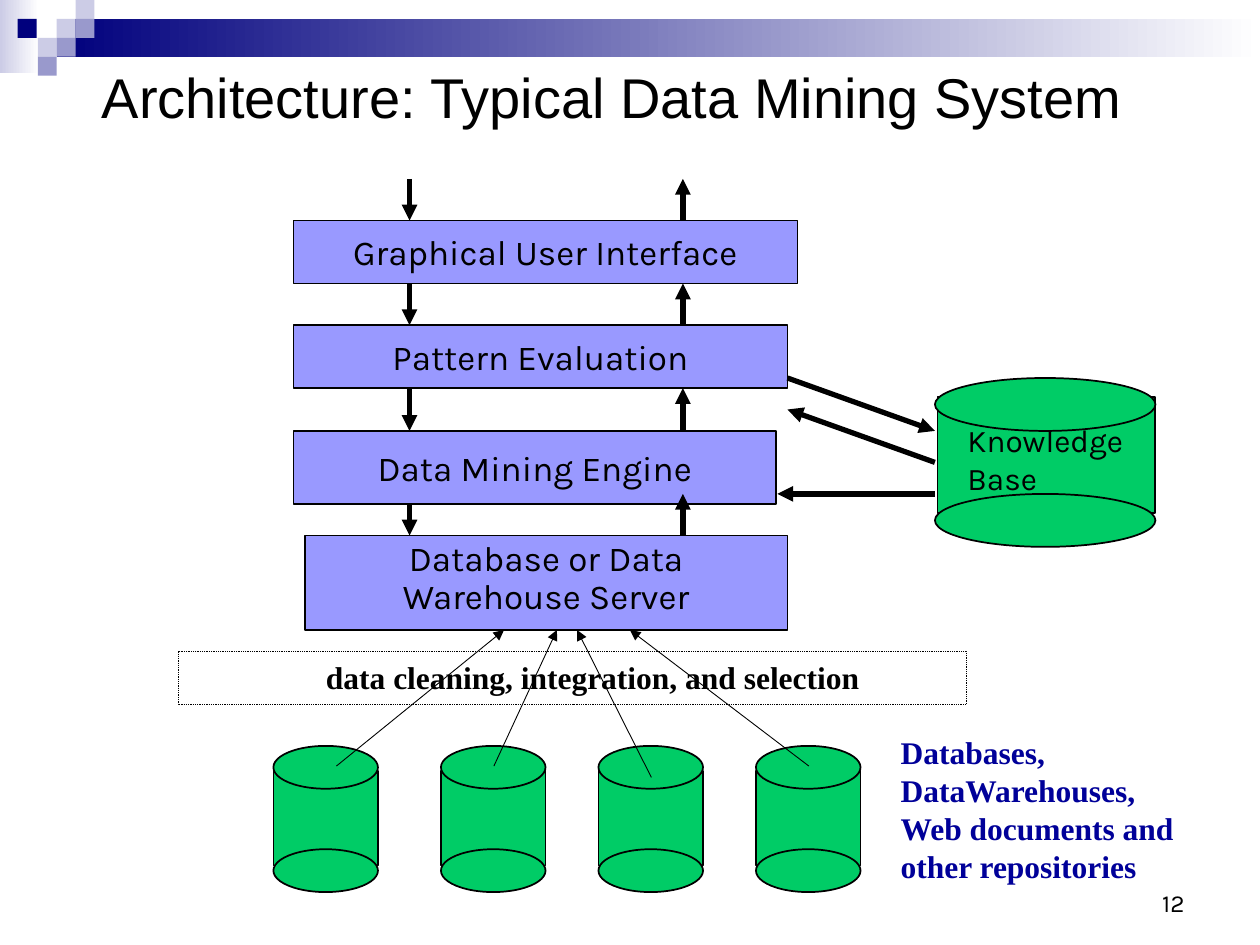
"""Build the slide showing the architecture of a typical data mining system."""
import pptx
import pptx.util
import pptx.dml.color
import pptx.enum.dml
import pptx.enum.shapes
import pptx.enum.text
import pptx.oxml

Inches, Pt = pptx.util.Inches, pptx.util.Pt
color = pptx.dml.color.RGBColor.from_string
RECT = pptx.enum.shapes.MSO_SHAPE.RECTANGLE
OVAL = pptx.enum.shapes.MSO_SHAPE.OVAL
LEFT, CENTER, RIGHT = (pptx.enum.text.PP_ALIGN.LEFT, pptx.enum.text.PP_ALIGN.CENTER,
                       pptx.enum.text.PP_ALIGN.RIGHT)
TOP, MIDDLE, BOTTOM = (pptx.enum.text.MSO_ANCHOR.TOP, pptx.enum.text.MSO_ANCHOR.MIDDLE,
                       pptx.enum.text.MSO_ANCHOR.BOTTOM)
NS = 'xmlns:a="http://schemas.openxmlformats.org/drawingml/2006/main"'
BLACK, GREEN, VIOLET = "000000", "00CC66", "9999FF"

prs = pptx.Presentation()
prs.slide_width, prs.slide_height = Inches(10), Inches(7.5)
s = prs.slides.add_slide(prs.slide_layouts[6])


def add_box(x, y, w, h, fill=None, line=0, kind=RECT, lines=(), size=20, font="Karla",
            ink=BLACK, bold=False, align=LEFT, anchor=TOP, spacing=1.0):
    """Add a filled shape, or a text box when no fill is given."""
    at = Inches(x), Inches(y), Inches(w), Inches(h)
    if fill:
        sp = s.shapes.add_shape(kind, *at)
        sp.shadow.inherit = False
        sp.fill.solid()
        sp.fill.fore_color.rgb = color(fill)
        if line:
            sp.line.color.rgb = color(BLACK)
            sp.line.width = Pt(line)
        else:
            sp.line.fill.background()
    else:
        sp = s.shapes.add_textbox(*at)
    tf = sp.text_frame
    tf.word_wrap = not fill
    tf.vertical_anchor = anchor
    for i, text in enumerate(lines):
        p = tf.add_paragraph() if i else tf.paragraphs[0]
        p.text = text
        p.alignment = align
        p.line_spacing = spacing
        p.font.size = Pt(size)
        p.font.name = font
        p.font.bold = bold
        p.font.color.rgb = color(ink)
    return sp


def add_arrow(x1, y1, x2, y2, width=3):
    """Add a black arrow whose tip is at the second point."""
    c = s.shapes.add_connector(pptx.enum.shapes.MSO_CONNECTOR.STRAIGHT,
                               Inches(x1), Inches(y1), Inches(x2), Inches(y2))
    c.line.color.rgb = color(BLACK)
    c.line.width = Pt(width)
    c.line._get_or_add_ln().append(pptx.oxml.parse_xml(f'<a:tailEnd {NS} type="triangle"/>'))
    c._element.spPr.append(pptx.oxml.parse_xml(f"<a:effectLst {NS}/>"))


for x, y, w, h, start in [(0, 0, 0.31, 0.58, "CCCCE6"), (0.45, 0.15, 9.55, 0.3, "00007D")]:
    sp = add_box(x, y, w, h, start)
    sp.fill.gradient()
    sp.fill.gradient_angle = 0
    for stop, position, tint in zip(sp.fill.gradient_stops, (0, 1), (start, "FFFFFF")):
        stop.position = position
        stop.color.rgb = color(tint)

for x, y, tint in [(0.45, 0.15, "CCCCE6"), (0.6, 0, "CCCCE6"), (0.6, 0.15, "9999CC"),
                   (0.3, 0.3, "CCCCE6"), (0.14, 0.15, "00007D"), (0.45, 0.3, "9999CC"),
                   (0.3, 0.45, "9999CC")]:
    add_box(x, y, 0.15, 0.15, tint)

add_box(7.17, 6.83, 2.33, 0.5, lines=["12"], size=14, align=RIGHT, anchor=BOTTOM)
add_box(0.71, 0.35, 8.33, 0.83, lines=["Architecture: Typical Data Mining System"],
        size=32, font="Arial", anchor=MIDDLE)

sp = add_box(1.42, 5.17, 6.25, 0.42, "FFFFFF", 0.5)
sp.line.dash_style = pptx.enum.dml.MSO_LINE.ROUND_DOT
add_box(2.08, 5.17, 5.25, 0.4, lines=["data cleaning, integration, and selection"],
        size=18, font="Times New Roman", bold=True, align=CENTER)

for x in (2.17, 3.5, 4.75, 6):
    add_box(x, 6.12, 0.83, 0.75, GREEN, 1)
    for y in (5.92, 6.74):
        add_box(x, y, 0.83, 0.34, GREEN, 1, OVAL)

add_arrow(3.25, 3.92, 3.25, 4.25)
add_box(2.42, 4.25, 3.83, 0.75, VIOLET, 0.75)
add_box(2.5, 4.25, 3.67, 0.7, lines=["Database or Data Warehouse Server"],
        align=CENTER, spacing=0.9)
for y, w, h, label in [(3.42, 3.83, 0.58, "Data Mining Engine"),
                       (2.58, 3.92, 0.5, "Pattern Evaluation"),
                       (1.75, 4, 0.5, "Graphical User Interface")]:
    add_box(2.33, y, w, h, VIOLET, 0.75, lines=[label], align=CENTER, anchor=MIDDLE)

for top, bottom in [(1.42, 1.75), (2.25, 2.58), (3.08, 3.42)]:
    add_arrow(3.25, top, 3.25, bottom)
    add_arrow(5.42, bottom, 5.42, top)
add_arrow(5.42, 4.25, 5.42, 3.92)

add_arrow(6.25, 3, 7.42, 3.42)
add_arrow(7.42, 3.67, 6.25, 3.25)
add_arrow(7.42, 3.92, 6.17, 3.92)

add_box(7.44, 3.15, 1.73, 0.92, GREEN, 1)
for y in (3, 3.92):
    add_box(7.42, y, 1.75, 0.42, GREEN, 1, OVAL)
add_box(7.58, 3.29, 1.83, 0.7, lines=["Knowledge", "Base"], size=18)

for x1, y1, x2 in [(2.67, 6.08, 4), (3.92, 6.08, 4.42), (5.17, 6.17, 4.58), (6.42, 6.08, 5)]:
    add_arrow(x1, y1, x2, 5, 0.5)

add_box(7.05, 5.77, 2.9, 1.3,
        lines=["Databases,", "DataWarehouses,", "Web documents and other repositories"],
        size=18, font="Times New Roman", ink="000099", bold=True)

prs.save("out.pptx")
